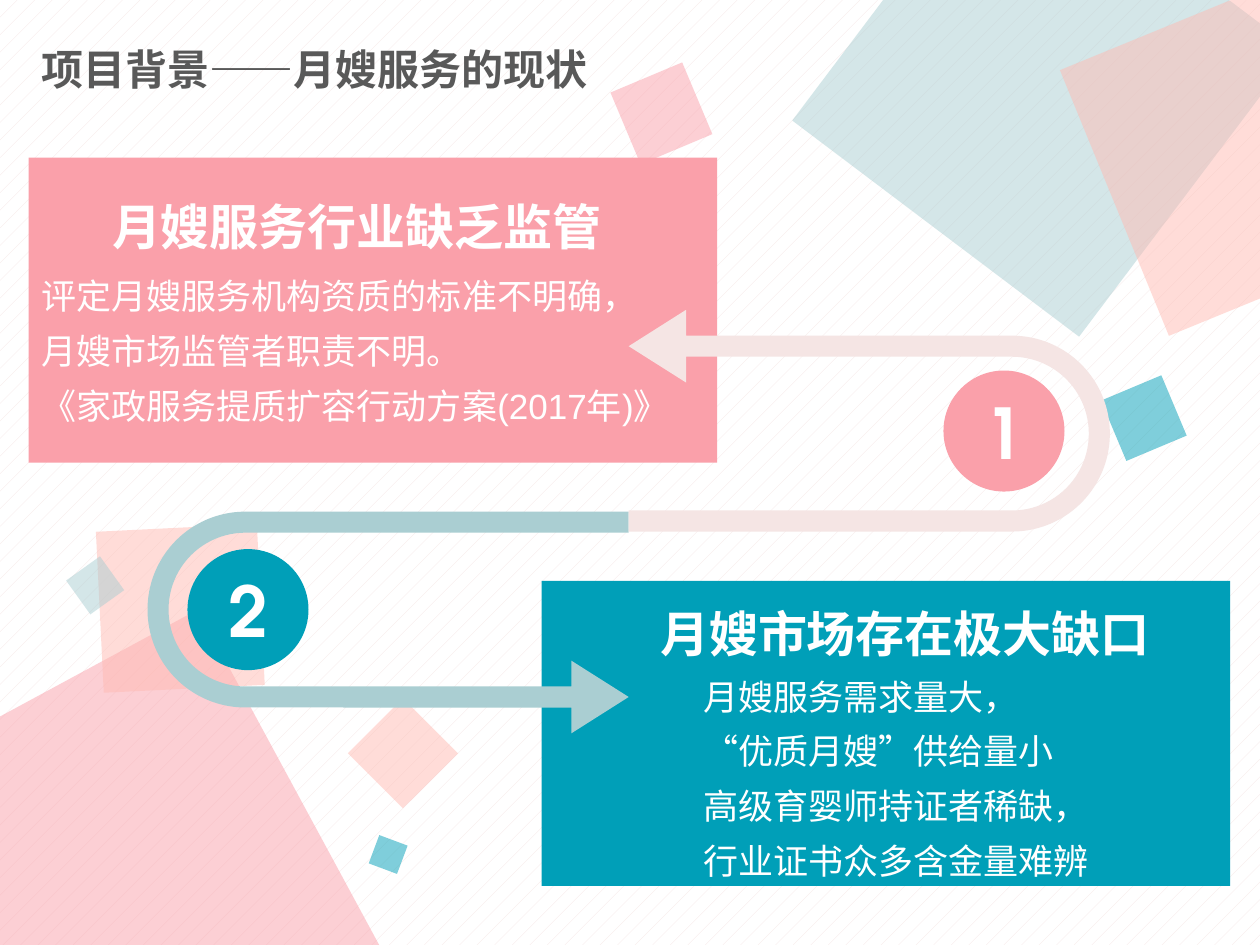
import pptx
import pptx.dml.color
import pptx.enum.dml
import pptx.enum.shapes
import pptx.enum.text
import pptx.oxml.ns
import pptx.util
import lxml.etree

Cm = pptx.util.Cm
qn = pptx.oxml.ns.qn
KIND = pptx.enum.shapes.MSO_SHAPE
SIDE = pptx.enum.text.PP_ALIGN
ANCHOR = pptx.enum.text.MSO_ANCHOR
FIT = pptx.enum.text.MSO_AUTO_SIZE
COLORS = {"pink": "FAA0AA", "peach": "FFBBB3", "mist": "AACED2", "teal": "009FB8",
          "blush": "F5E5E4", "white": "FFFFFF", "gray": "595959"}
HAN = "Noto Sans CJK SC"
LATIN = "TeX Gyre Adventor"


def tint(name):
    return pptx.dml.color.RGBColor.from_string(COLORS[name])


def write(frame, text, font="Arial", size=20, color="white", bold=False, align=SIDE.LEFT,
          line=1.3, before=0, anchor=ANCHOR.TOP, fit=FIT.SHAPE_TO_FIT_TEXT):
    frame.word_wrap = True
    frame.auto_size = fit
    frame.vertical_anchor = anchor
    for i, words in enumerate(text.split("\n")):
        para = frame.add_paragraph() if i else frame.paragraphs[0]
        para.alignment = align
        para.line_spacing = line
        para.space_before = pptx.util.Pt(before)
        props = para._p.get_or_add_pPr()
        props.set("marL", "0")
        props.set("indent", "0")
        lxml.etree.SubElement(props, qn("a:buNone"))
        run = para.add_run()
        run.text = words
        run.font.name = font
        run.font.size = pptx.util.Pt(size)
        run.font.bold = bold
        run.font.color.rgb = tint(color)
        lxml.etree.SubElement(run._r.get_or_add_rPr(), qn("a:ea"), typeface=HAN)


class Deck:
    def __init__(self):
        self.file = pptx.Presentation()
        self.file.slide_width = Cm(25.4)
        self.file.slide_height = Cm(19.05)
        self.slide = self.file.slides.add_slide(self.file.slide_layouts[3])
        fill = self.slide.background.fill
        fill.patterned()
        fill.pattern = pptx.enum.dml.MSO_PATTERN.PERCENT_5
        fill.fore_color.rgb = tint("blush")
        fill.back_color.rgb = tint("white")

    def shape(self, kind, box, color, turn=0, clear=False):
        item = self.slide.shapes.add_shape(kind, *map(Cm, box))
        item.shadow.inherit = False
        item.fill.solid()
        item.fill.fore_color.rgb = tint(color)
        item.line.fill.background()
        item.rotation = turn
        if clear:
            shade = item._element.spPr.find(".//" + qn("a:srgbClr"))
            lxml.etree.SubElement(shade, qn("a:alpha"), val="50000")
        return item

    def square(self, left, top, side, turn, color):
        self.shape(KIND.RECTANGLE, (left, top, side, side), color, turn, True)

    def panel(self, left, top, color):
        self.shape(KIND.RECTANGLE, (left, top, 13.88, 6.15), color)

    def arrow(self, left, top, turn, color):
        item = self.shape(KIND.U_TURN_ARROW, (left, top, 4.47, 9.7), color, turn)
        for i, value in enumerate((0.095, 0.164, 0.259, 0.441, 1)):
            item.adjustments[i] = value
        item._element.spPr.find(qn("a:xfrm")).set("flipH", "1")

    def badge(self, left, top, color, text):
        item = self.shape(KIND.OVAL, (left, top, 2.44, 2.44), color)
        write(item.text_frame, text, font=LATIN, size=40, bold=True, line=1,
              align=SIDE.CENTER, anchor=ANCHOR.MIDDLE, fit=FIT.NONE)

    def label(self, box, text):
        item = self.slide.shapes.add_textbox(*map(Cm, box))
        write(item.text_frame, text, font=LATIN, size=28, bold=True)

    def holder(self, index, box, text, **style):
        item = self.slide.placeholders[index]
        item.left, item.top, item.width, item.height = map(Cm, box)
        write(item.text_frame, text, **style)
        self.slide.shapes._spTree.append(item._element)


def main():
    deck = Deck()
    for square in (
        (-3.25, 14.12, 10.31, 331.6, "pink"),
        (2.01, 10.64, 3.25, 357.2, "peach"),
        (7.34, 14.4, 1.57, 315, "peach"),
        (1.5, 11.38, 0.84, 324.4, "mist"),
        (7.52, 16.92, 0.61, 290.5, "teal"),
        (17.42, -1.9, 7.24, 37, "mist"),
        (22.25, 0.1, 5.79, 337.7, "peach"),
        (12.55, 1.5, 1.57, 337.2, "pink"),
        (22.4, 7.77, 1.32, 337.2, "teal"),
    ):
        deck.square(*square)

    deck.panel(10.92, 11.71, "teal")
    deck.arrow(5.59, 7.7, 270, "mist")
    deck.panel(0.58, 3.18, "pink")
    deck.arrow(15.29, 3.63, 90, "blush")
    deck.badge(19.02, 7.47, "pink", "1")
    deck.badge(3.78, 11.07, "teal", "2")

    deck.holder(1, (0.58, 5.16, 13.87, 3.48),
                "评定月嫂服务机构资质的标准不明确，\n月嫂市场监管者职责不明。\n"
                "《家政服务提质扩容行动方案(2017年)》")
    deck.label((2.01, 3.48, 11.05, 1.65), "月嫂服务行业缺乏监管")
    deck.holder(2, (13.92, 13.23, 9.7, 4.62),
                "月嫂服务需求量大，\n“优质月嫂”供给量小\n"
                "高级育婴师持证者稀缺，\n行业证书众多含金量难辨")
    deck.label((13.06, 11.68, 10.74, 1.65), "月嫂市场存在极大缺口")
    deck.holder(0, (0.58, 0.71, 15.57, 1.47), "项目背景——月嫂服务的现状",
                font=HAN, size=24, color="gray", bold=True, line=0.9, before=10,
                anchor=ANCHOR.MIDDLE, fit=FIT.NONE)
    deck.file.save("out.pptx")


if __name__ == "__main__":
    main()
